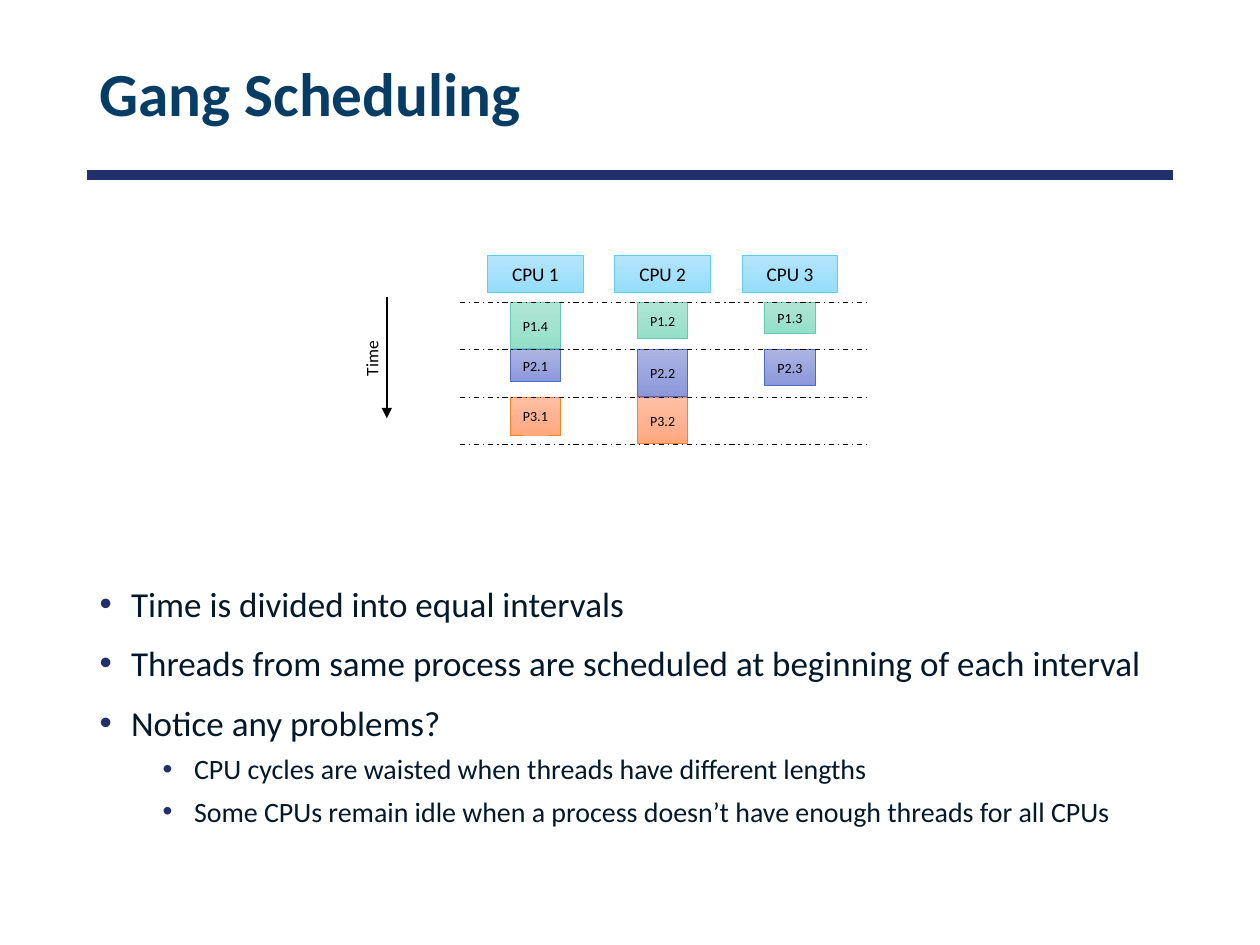
from lxml import etree
from pptx import Presentation
from pptx import util as u
from pptx.dml.color import RGBColor
from pptx.enum import dml, shapes, text
from pptx.oxml.ns import qn

FONT = "Calibri"
BLACK = RGBColor(0x00, 0x00, 0x00)
NAVY = RGBColor(0x21, 0x30, 0x6A)
TITLE_BLUE = RGBColor(0x07, 0x3C, 0x65)
BODY_INK = RGBColor(0x03, 0x18, 0x28)
SKY = [RGBColor(0xB5, 0xE5, 0xFB), RGBColor(0x95, 0xDD, 0xFB), RGBColor(0x5E, 0xCC, 0xF3)]
GREEN = [RGBColor(0xB1, 0xE5, 0xD5), RGBColor(0x93, 0xDF, 0xC7), RGBColor(0x5D, 0xCE, 0xAF)]
VIOLET = [RGBColor(0xAC, 0xB4, 0xE2), RGBColor(0x8C, 0x98, 0xDA), RGBColor(0x4E, 0x67, 0xC8)]
ORANGE = [RGBColor(0xFF, 0xBF, 0xA3), RGBColor(0xFF, 0xA8, 0x81), RGBColor(0xFF, 0x80, 0x21)]

MARGIN, CONTENT_WIDTH = 0.69, 8.62
GRID_LEFT, GRID_RIGHT, GRID_TOP = 3.65, 6.91, 2.4
FIRST_CENTER, COLUMN = 4.25, 1.01
ROW = 1.13 / 3

deck = Presentation()
deck.slide_width, deck.slide_height = u.Inches(10), u.Inches(7.5)
page = deck.slides.add_slide(deck.slide_layouts[1])


def add_line(x1, y1, x2, y2, color, width):
    line = page.shapes.add_connector(
        shapes.MSO_CONNECTOR.STRAIGHT, *[u.Inches(v) for v in (x1, y1, x2, y2)])
    line.line.color.rgb = color
    line.line.width = u.Pt(width)
    etree.SubElement(line._element.spPr, qn("a:effectLst"))
    return line


def add_block(label, center, top, width, height, colors, size):
    block = page.shapes.add_shape(
        shapes.MSO_SHAPE.RECTANGLE,
        *[u.Inches(v) for v in (center - width / 2, top, width, height)])
    block.shadow.inherit = False
    block.fill.gradient()
    block.fill.gradient_angle = 270
    for stop, color in zip(block.fill.gradient_stops, colors):
        stop.color.rgb = color
    block.line.color.rgb = colors[2]
    block.line.width = u.Pt(0.5)
    frame = block.text_frame
    frame.text = label
    frame.vertical_anchor = text.MSO_ANCHOR.MIDDLE
    para = frame.paragraphs[0]
    para.alignment = text.PP_ALIGN.CENTER
    para.font.name, para.font.size = FONT, u.Pt(size)
    para.font.color.rgb = BLACK


add_line(MARGIN, 1.39, MARGIN + CONTENT_WIDTH, 1.39, NAVY, 6)

title, body = page.shapes.title, page.placeholders[1]
for box, top, height in [(title, 0.23, 1.08), (body, 4.57, 2.7)]:
    box.left, box.top = u.Inches(MARGIN), u.Inches(top)
    box.width, box.height = u.Inches(CONTENT_WIDTH), u.Inches(height)
    box.text_frame.auto_size = text.MSO_AUTO_SIZE.NONE

title.text_frame.text = "Gang Scheduling"
title.text_frame.vertical_anchor = text.MSO_ANCHOR.MIDDLE
para = title.text_frame.paragraphs[0]
para.alignment = text.PP_ALIGN.LEFT
para.line_spacing = 0.9
for name, value in {"name": FONT, "size": u.Pt(35), "bold": True}.items():
    setattr(para.font, name, value)
para.font.color.rgb = TITLE_BLUE

points = [
    (0, "Time is divided into equal intervals"),
    (0, "Threads from same process are scheduled at beginning of each interval"),
    (0, "Notice any problems?"),
    (1, "CPU cycles are waisted when threads have different lengths"),
    (1, "Some CPUs remain idle when a process doesn’t have enough threads for all CPUs"),
]
level_formats = [
    {"size": 20, "before": 10, "indent": 0.25},
    {"size": 16, "before": 5, "indent": 0.75},
]
body.text_frame.text = "\n".join(words for level, words in points)
for para, (level, words) in zip(body.text_frame.paragraphs, points):
    style = level_formats[level]
    para.level = level
    para.space_before = u.Pt(style["before"])
    para.font.name, para.font.size = FONT, u.Pt(style["size"])
    para.font.color.rgb = BODY_INK
    props = para._p.get_or_add_pPr()
    props.set("marL", str(u.Inches(style["indent"])))
    props.set("indent", str(u.Inches(-0.25)))
    bullet_color = etree.SubElement(props, qn("a:buClr"))
    etree.SubElement(bullet_color, qn("a:srgbClr"), val=str(NAVY))
    etree.SubElement(props, qn("a:buFont"), typeface="Arial")
    etree.SubElement(props, qn("a:buChar"), char="•")
    for run_defaults in props.findall(qn("a:defRPr")):
        props.append(run_defaults)

intervals = [
    (GREEN, [("P1.4", 0.37), ("P1.2", 0.29), ("P1.3", 0.25)]),
    (VIOLET, [("P2.1", 0.25), ("P2.2", 0.37), ("P2.3", 0.28)]),
    (ORANGE, [("P3.1", 0.3), ("P3.2", 0.37)]),
]
for row, (colors, threads) in enumerate(intervals):
    for column, (label, height) in enumerate(threads):
        add_block(label, FIRST_CENTER + column * COLUMN, GRID_TOP + row * ROW,
                  0.4, height, colors, 8)

for column in range(3):
    add_block(f"CPU {column + 1}", FIRST_CENTER + column * COLUMN, 2.03, 0.76, 0.29, SKY, 11)

arrow = add_line(3.07, 2.36, 3.07, 3.32, BLACK, 1)
etree.SubElement(arrow.line._get_or_add_ln(), qn("a:tailEnd"), type="triangle")

time_label = page.shapes.add_textbox(*[u.Inches(v) for v in (2.71, 2.71, 0.48, 0.27)])
time_label.rotation = 270
time_label.text_frame.text = "Time"
time_label.text_frame.word_wrap = False
para = time_label.text_frame.paragraphs[0]
para.alignment = text.PP_ALIGN.CENTER
para.font.name, para.font.size = FONT, u.Pt(10)
para.font.color.rgb = BLACK

for row in range(4):
    y = GRID_TOP + row * ROW
    divider = add_line(GRID_LEFT, y, GRID_RIGHT, y, BLACK, 0.75)
    divider.line.dash_style = dml.MSO_LINE.DASH_DOT

deck.save("out.pptx")
